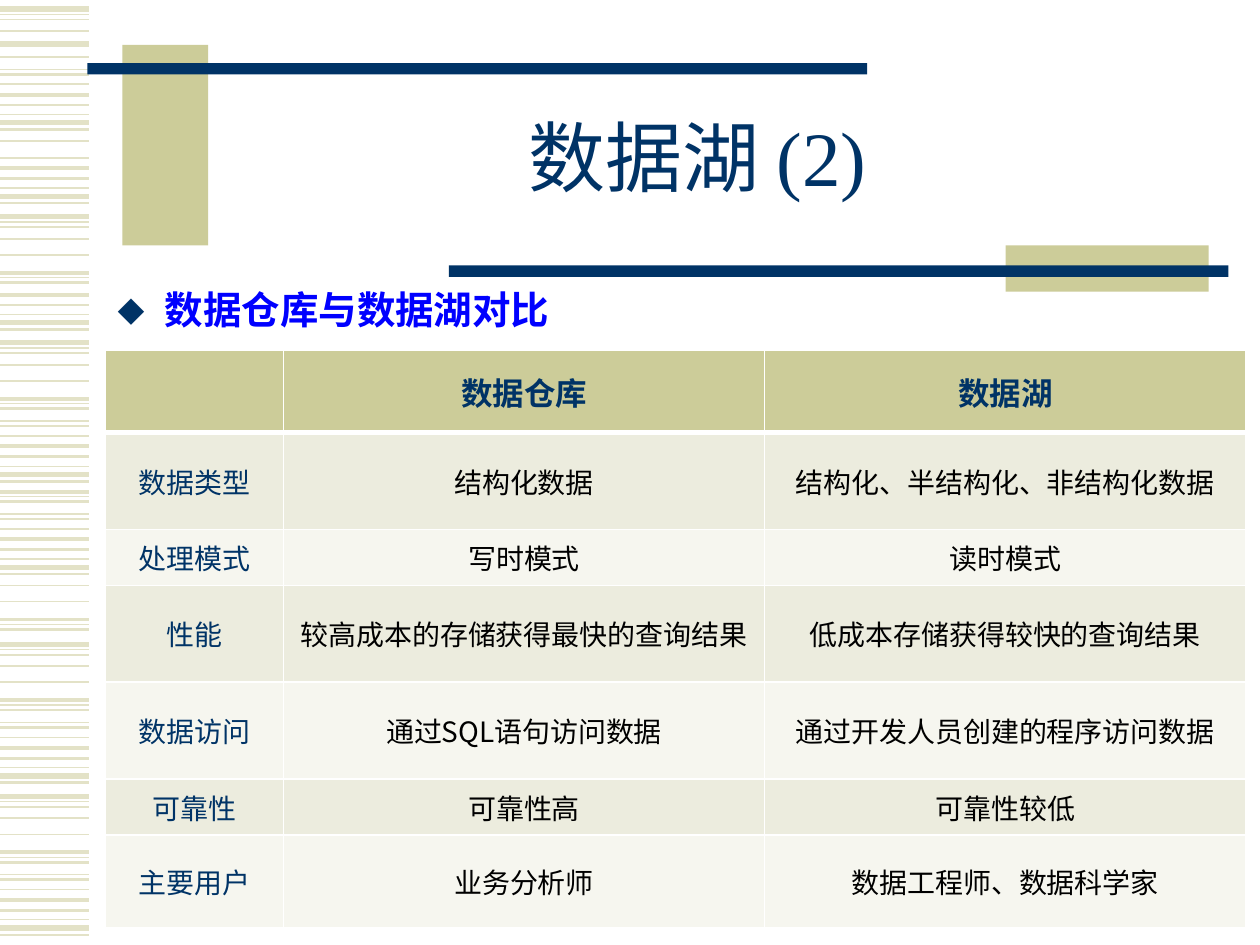
from lxml.etree import SubElement
from pptx import Presentation
from pptx.dml.color import RGBColor
from pptx.enum.shapes import MSO_CONNECTOR, MSO_SHAPE
from pptx.enum.text import MSO_ANCHOR, PP_ALIGN
from pptx.oxml.ns import qn
from pptx.util import Pt

COLORS = {
    "navy": "003366",
    "khaki": "CCCC99",
    "stripe": "E3E2C7",
    "blue": "0000FF",
    "black": "000000",
    "white": "FFFFFF",
    "odd_row": "ECECDE",
    "even_row": "F6F6EF",
}
SERIF = "Times New Roman"
SANS = "Noto Sans CJK SC"

STRIPE_TILE = [
    (0, 3), (3.1, 0.75), (6, 1), (12.6, 1), (21.8, 1), (32, 2.25),
    (34.8, 0.75), (37.7, 1.5), (44.8, 0.75), (47.7, 1.5), (53.3, 1),
    (59.3, 2.25), (65.2, 1.5), (70.6, 0.75), (75.3, 3), (79.2, 1.5),
]
STRIPE_RUNS = [
    (455, 0, 15), (368.1, 0, 15), (322, 3, 7), (248.9, 5, 15),
    (195.8, 0, 15), (123.8, 0, 7), (109.1, 11, 15), (58.8, 4, 4),
    (36.9, 10, 15), (-5.2, 7, 15), (25.2, 0, 0), (5.2, 0, 3),
]

ROWS = [
    ("", "数据仓库", "数据湖"),
    ("数据类型", "结构化数据", "结构化、半结构化、非结构化数据"),
    ("处理模式", "写时模式", "读时模式"),
    ("性能", "较高成本的存储获得最快的查询结果", "低成本存储获得较快的查询结果"),
    ("数据访问", "通过SQL语句访问数据", "通过开发人员创建的程序访问数据"),
    ("可靠性", "可靠性高", "可靠性较低"),
    ("主要用户", "业务分析师", "数据工程师、数据科学家"),
]
COLUMN_WIDTHS = [102, 275, 275]
ROW_HEIGHTS = [47, 55.4, 31.8, 55.4, 55.4, 31.8, 53]


def rgb(name):
    return RGBColor.from_string(COLORS[name])


def add_run(paragraph, text, size, font, color, bold=False):
    run = paragraph.add_run()
    run.text = text
    run.font.size = Pt(size)
    run.font.name = font
    run.font.bold = bold
    run.font.color.rgb = rgb(color)
    SubElement(run._r.get_or_add_rPr(), qn("a:ea"), typeface=SANS)


def place(shape, box):
    shape.left, shape.top, shape.width, shape.height = map(Pt, box)


def add_stripes(slide, box):
    left, top, width, _ = box
    for start, first, last in STRIPE_RUNS:
        for offset, weight in STRIPE_TILE[first:last + 1]:
            y = Pt(top + start + offset)
            line = slide.shapes.add_connector(
                MSO_CONNECTOR.STRAIGHT, Pt(left), y, Pt(left + width), y)
            line.line.color.rgb = rgb("stripe")
            line.line.width = Pt(weight)
            SubElement(line._element.spPr, qn("a:effectLst"))


def add_frame(slide, box):
    left, top, width, height = box
    bar_width, bar_height = 445.5, 6.5
    parts = [
        (left + 20, top, 49, 114.5, "khaki"),
        (left, top + 10.3, bar_width, bar_height, "navy"),
        (left + width - 127.3, top + height - 26.5, 116, 26.5, "khaki"),
        (left + width - bar_width, top + height - 15, bar_width, bar_height, "navy"),
    ]
    for *part_box, color in parts:
        shape = slide.shapes.add_shape(MSO_SHAPE.RECTANGLE, *map(Pt, part_box))
        shape.fill.solid()
        shape.fill.fore_color.rgb = rgb(color)
        shape.line.fill.background()
        shape.shadow.inherit = False


def fill_title(slide, box):
    title = slide.shapes.title
    place(title, box)
    title.text_frame.vertical_anchor = MSO_ANCHOR.MIDDLE
    paragraph = title.text_frame.paragraphs[0]
    paragraph.alignment = PP_ALIGN.CENTER
    paragraph.line_spacing = 0.85
    add_run(paragraph, "数据湖 (2)", 44, SERIF, "navy")


def fill_body(slide, box):
    body = slide.placeholders[1]
    place(body, box)
    body.text_frame.vertical_anchor = MSO_ANCHOR.TOP
    paragraph = body.text_frame.paragraphs[0]
    paragraph.line_spacing = Pt(24)
    paragraph.space_before = paragraph.space_after = Pt(6)
    properties = paragraph._p.get_or_add_pPr()
    properties.set("marL", str(Pt(27)))
    properties.set("indent", str(Pt(-27)))
    bullet_color = SubElement(properties, qn("a:buClr"))
    SubElement(bullet_color, qn("a:srgbClr"), val=COLORS["navy"])
    SubElement(properties, qn("a:buChar"), char="⬥")
    add_run(paragraph, "数据仓库与数据湖对比", 22, SERIF, "blue", True)


def set_borders(cell, bottom_weight):
    properties = cell._tc.get_or_add_tcPr()
    for side, weight in zip("LRTB", (1, 1, 1, bottom_weight)):
        border = SubElement(properties, qn(f"a:ln{side}"), w=str(Pt(weight)))
        fill = SubElement(border, qn("a:solidFill"))
        SubElement(fill, qn("a:srgbClr"), val=COLORS["white"])


def add_comparison(slide, box):
    table = slide.shapes.add_table(
        len(ROWS), len(COLUMN_WIDTHS), *map(Pt, box)).table
    for column, width in zip(table.columns, COLUMN_WIDTHS):
        column.width = Pt(width)
    for row, height in zip(table.rows, ROW_HEIGHTS):
        row.height = Pt(height)
    for i, texts in enumerate(ROWS):
        header = i == 0
        fill = "khaki" if header else ("even_row", "odd_row")[i % 2]
        for j, text in enumerate(texts):
            cell = table.cell(i, j)
            set_borders(cell, 3 if header or i == 0 else 1)
            cell.fill.solid()
            cell.fill.fore_color.rgb = rgb(fill)
            cell.vertical_anchor = MSO_ANCHOR.MIDDLE
            paragraph = cell.text_frame.paragraphs[0]
            paragraph.alignment = PP_ALIGN.CENTER
            paragraph.space_before = Pt(3.5)
            if text:
                color = "navy" if header or j == 0 else "black"
                add_run(paragraph, text, 18 if header else 16, SANS, color, header)


def main():
    presentation = Presentation()
    presentation.slide_width = Pt(720)
    presentation.slide_height = Pt(540)
    slide = presentation.slides.add_slide(presentation.slide_layouts[1])
    add_stripes(slide, (0, 0, 51, 540))
    add_frame(slide, (50, 25.7, 652, 141))
    fill_body(slide, (60, 162, 581, 38))
    fill_title(slide, (108, 48, 581, 90))
    add_comparison(slide, (60, 200.3, sum(COLUMN_WIDTHS), sum(ROW_HEIGHTS)))
    presentation.save("out.pptx")


if __name__ == "__main__":
    main()
